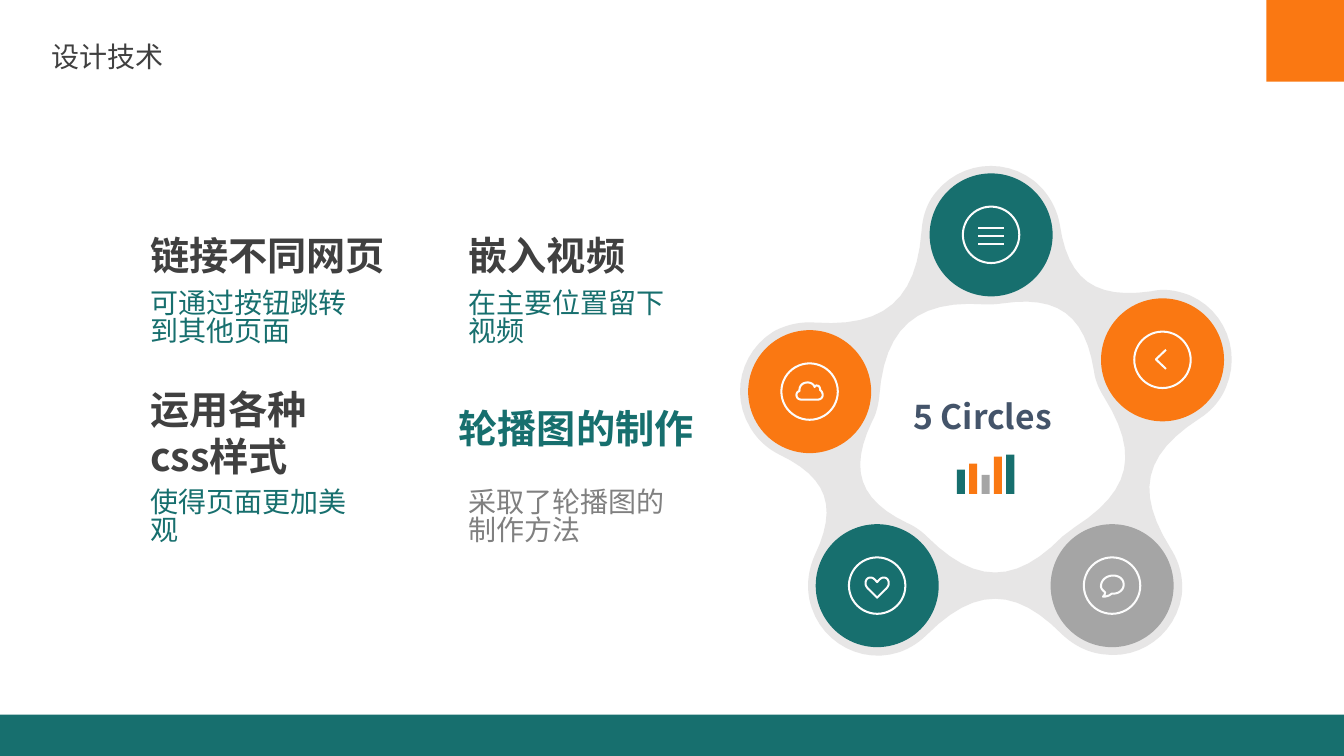
from dataclasses import dataclass
from typing import Optional

from lxml import etree
from pptx import Presentation
from pptx.dml.color import RGBColor
from pptx.enum.shapes import MSO_CONNECTOR, MSO_SHAPE
from pptx.enum.text import MSO_ANCHOR, MSO_AUTO_SIZE, PP_ALIGN
from pptx.oxml.ns import qn
from pptx.util import Emu, Inches, Pt

RECTANGLE, OVAL = MSO_SHAPE.RECTANGLE, MSO_SHAPE.OVAL
STRAIGHT = MSO_CONNECTOR.STRAIGHT
MIDDLE, JUSTIFY = MSO_ANCHOR.MIDDLE, PP_ALIGN.JUSTIFY
NO_AUTOFIT, GROW = MSO_AUTO_SIZE.NONE, MSO_AUTO_SIZE.SHAPE_TO_FIT_TEXT

SLIDE_WIDTH, SLIDE_HEIGHT = Inches(13.33), Inches(7.5)
GRID_COLUMNS, GRID_ROWS = 1333, 750
TITLE_ONLY_LAYOUT = 5


@dataclass(frozen=True)
class Theme:
    teal: str = "176F6E"
    orange: str = "FA7812"
    grey: str = "A5A5A5"
    pale: str = "E7E6E6"
    icon: str = "FCFCFC"
    dark: str = "404040"
    muted: str = "808080"
    navy: str = "44546A"
    title_font: str = "Noto Sans CJK JP"
    font: str = "Noto Sans CJK SC"
    body_size: int = 20
    label_size: int = 24
    heading_size: int = 28
    icon_line: float = 1.44


THEME = Theme()


@dataclass(frozen=True)
class TextStyle:
    size: int
    color: str
    font: str = THEME.font
    bold: bool = False
    line_spacing: Optional[int] = None


@dataclass(frozen=True)
class TextBlock:
    text: str
    left: float
    top: float
    width: float
    height: float
    style: TextStyle
    wrap: bool = True


@dataclass(frozen=True)
class Disc:
    x: float
    y: float
    color: str
    outline: tuple = ()
    closed: bool = True
    bars: tuple = ()


TITLE = TextStyle(THEME.body_size, THEME.dark, THEME.title_font)
LABEL = TextStyle(THEME.label_size, THEME.navy, bold=True)
HEADING = TextStyle(THEME.heading_size, THEME.dark, bold=True)
HEADING_TEAL = TextStyle(THEME.heading_size, THEME.teal, bold=True)
BODY = TextStyle(THEME.body_size, THEME.teal, line_spacing=20)
BODY_MUTED = TextStyle(THEME.body_size, THEME.muted, line_spacing=20)

FIRST, SECOND = 139, 455
UPPER_HEADING, UPPER_BODY, LOWER_BODY = 225, 284, 481
TEXT_BLOCKS = (
    TextBlock("5 Circles", 896, 388, 159, 50, LABEL, wrap=False),
    TextBlock("链接不同网页", FIRST, UPPER_HEADING, 259, 57, HEADING),
    TextBlock("可通过按钮跳转到其他页面", FIRST, UPPER_BODY, 235, 66, BODY),
    TextBlock("运用各种css样式", FIRST, 377, 212, 104, HEADING),
    TextBlock("使得页面更加美观", FIRST, LOWER_BODY, 235, 66, BODY),
    TextBlock("嵌入视频", SECOND, UPPER_HEADING, 212, 57, HEADING),
    TextBlock("在主要位置留下视频", SECOND, UPPER_BODY, 235, 66, BODY),
    TextBlock("轮播图的制作", 445, 396, 265, 57, HEADING_TEAL),
    TextBlock("采取了轮播图的制作方法", SECOND, LOWER_BODY, 235, 66, BODY_MUTED),
)

RING_OUTER = (
    1180, 293, 1167, 288, 1154, 286, 1142, 289, 1086, 297, 1059, 278, 1051, 222,
    1048, 206, 1039, 190, 1025, 179, 995, 156, 952, 161, 928, 191,
    919, 202, 915, 215, 914, 229, 909, 297, 877, 325, 808, 320,
    794, 319, 780, 322, 767, 329, 735, 349, 724, 391, 744, 424,
    751, 436, 761, 445, 773, 451, 821, 474, 831, 503, 808, 551,
    801, 567, 799, 585, 805, 603, 817, 639, 856, 659, 892, 647,
    903, 643, 912, 637, 919, 630, 967, 582, 1007, 582, 1054, 630,
    1065, 640, 1078, 647, 1093, 649, 1131, 655, 1166, 629, 1172, 591,
    1174, 574, 1170, 558, 1161, 544, 1126, 488, 1134, 451, 1190, 415,
    1201, 408, 1211, 397, 1216, 384, 1231, 349, 1215, 308, 1180, 293)
RING_INNER = (
    1066, 523, 1062, 526, 1058, 529, 1054, 532, 1007, 580, 967, 580, 919, 532,
    914, 527, 907, 522, 900, 519, 852, 496, 842, 466, 865, 418,
    869, 411, 871, 402, 872, 394, 877, 325, 909, 297, 977, 302,
    983, 302, 988, 302, 994, 301, 1049, 293, 1076, 312, 1085, 368,
    1086, 377, 1090, 386, 1095, 394, 1130, 450, 1122, 487, 1066, 523)
CLOUD = (
    -8, 8, -11, 8, -13, 6, -13, 3.5, -13, 1.5, -12, 0, -10, -0.5,
    -10.5, -5.5, -7, -9, -2, -9, 1, -9, 4, -7.5, 5, -4.5,
    5.5, -5.5, 6, -6, 7, -6, 9.5, -6, 10.5, -4, 10.5, -1.5,
    12, -0.5, 13, 1.5, 13, 3.5, 13, 6, 11, 8, 8, 8)
HEART = (
    0, 12, 0, 12, -8.5, 3.5, -8.5, 3.5, -8.5, 3.5, -11.5, 1, -11.5, -2,
    -11.5, -6.5, -9, -8, -6.5, -8, -3.5, -8, -1.5, -5, 0, -3.5,
    1.5, -5, 3.5, -8, 6.5, -8, 9, -8, 11.5, -6.5, 11.5, -2,
    11.5, 1, 8.5, 3.5, 8.5, 3.5, 8.5, 3.5, 0, 12, 0, 12)
BUBBLE = (
    1, -10, -6, -10, -11, -5, -11, 0.5, -11, 3, -9, 5, -7, 6.5,
    -7, 9, -8, 10, -9, 11, -5, 11, -2, 9.5, -0.5, 8,
    0, 8, 0.5, 8, 1, 8, 7, 8, 11.5, 4, 11.5, -1,
    11.5, -6.5, 7, -10, 1, -10)
CHEVRON = (3.5, -10, 3.5, -10, -6.5, -0.5, -6.5, -0.5, -6.5, -0.5, 3.5, 9, 3.5, 9)

DISC_SIZE, RING_SIZE = 122, 56
DISCS = (
    Disc(803, 388.5, THEME.orange, CLOUD),
    Disc(870, 581, THEME.teal, HEART),
    Disc(983, 233, THEME.teal, bars=(-7, 1, 9)),
    Disc(1153, 357, THEME.orange, CHEVRON, closed=False),
    Disc(1103, 581, THEME.grey, BUBBLE),
)
BAR_LEFT, BAR_STEP, BAR_WIDTH, BAR_BASE = 949, 12.25, 8, 490
CHART_BARS = ((24, THEME.teal), (30, THEME.orange), (19, THEME.grey),
              (37, THEME.orange), (39, THEME.teal))


def column(count: float) -> Emu:
    return Emu(round(SLIDE_WIDTH * count / GRID_COLUMNS))


def row(count: float) -> Emu:
    return Emu(round(SLIDE_HEIGHT * count / GRID_ROWS))


def paint(shape, fill: Optional[str], line: Optional[str] = None) -> None:
    shape.shadow.inherit = False
    if fill:
        shape.fill.solid()
        shape.fill.fore_color.rgb = RGBColor.from_string(fill)
    else:
        shape.fill.background()
    if line:
        shape.line.color.rgb = RGBColor.from_string(line)
        shape.line.width = Pt(THEME.icon_line)
    else:
        shape.line.fill.background()


def draw_shape(slide, kind, left: float, top: float, width: float, height: float,
               fill: Optional[str], line: Optional[str] = None) -> None:
    shape = slide.shapes.add_shape(kind, column(left), row(top), column(width), row(height))
    paint(shape, fill, line)


def trace_curve(values: tuple, x: float = 0, y: float = 0, steps: int = 12) -> list:
    points = list(zip(values[::2], values[1::2]))
    traced = [points[0]]
    for index in range(0, len(points) - 1, 3):
        for step in range(1, steps + 1):
            t = step / steps
            weights = ((1 - t) ** 3, 3 * t * (1 - t) ** 2, 3 * t * t * (1 - t), t ** 3)
            corners = points[index:index + 4]
            traced.append(tuple(sum(weight * corner[axis] for weight, corner in zip(weights, corners))
                                for axis in (0, 1)))
    return [(column(x + px), row(y + py)) for px, py in traced]


def draw_outline(slide, contours: list, fill: Optional[str], line: Optional[str] = None,
                 closed: bool = True) -> None:
    builder = slide.shapes.build_freeform(*contours[0][0])
    for number, contour in enumerate(contours):
        if number:
            builder.move_to(*contour[0])
        builder.add_line_segments(contour[1:], close=closed)
    paint(builder.convert_to_shape(), fill, line)


def draw_disc(slide, disc: Disc) -> None:
    for size, fill, line in ((DISC_SIZE, disc.color, None), (RING_SIZE, None, THEME.icon)):
        draw_shape(slide, OVAL, disc.x - size / 2, disc.y - size / 2, size, size, fill, line)
    if disc.outline:
        draw_outline(slide, [trace_curve(disc.outline, disc.x, disc.y)], None, THEME.icon, disc.closed)
    for offset in disc.bars:
        level = row(disc.y + offset)
        bar = slide.shapes.add_connector(STRAIGHT, column(disc.x - 13), level, column(disc.x + 13), level)
        bar.line.color.rgb = RGBColor.from_string(THEME.icon)
        bar.line.width = Pt(THEME.icon_line)
        etree.SubElement(bar._element.spPr, qn("a:effectLst"))


def write_text(shape, text: str, style: TextStyle) -> None:
    shape.text_frame.text = text
    paragraph = shape.text_frame.paragraphs[0]
    if style.line_spacing:
        paragraph.line_spacing = Pt(style.line_spacing)
    run = paragraph.runs[0]
    run.font.size, run.font.bold, run.font.name = Pt(style.size), style.bold, style.font
    run.font.color.rgb = RGBColor.from_string(style.color)
    etree.SubElement(run._r.get_or_add_rPr(), qn("a:ea")).set("typeface", style.font)


def draw_text(slide, block: TextBlock) -> None:
    box = slide.shapes.add_textbox(column(block.left), row(block.top), column(block.width), row(block.height))
    box.text_frame.word_wrap = block.wrap
    box.text_frame.auto_size = GROW
    write_text(box, block.text, block.style)


def draw_title(slide, text: str) -> None:
    title = slide.shapes.title
    title.left, title.top, title.width, title.height = column(41), row(34), column(233), row(44)
    write_text(title, text, TITLE)
    title.text_frame.auto_size = NO_AUTOFIT
    title.text_frame.vertical_anchor = MIDDLE
    title.text_frame.paragraphs[0].alignment = JUSTIFY


def main() -> None:
    presentation = Presentation()
    presentation.slide_width, presentation.slide_height = SLIDE_WIDTH, SLIDE_HEIGHT
    slide = presentation.slides.add_slide(presentation.slide_layouts[TITLE_ONLY_LAYOUT])
    draw_shape(slide, RECTANGLE, 0, 709, GRID_COLUMNS, 41, THEME.teal)
    draw_shape(slide, RECTANGLE, 1256, 0, 77, 81, THEME.orange)
    draw_title(slide, "设计技术")
    draw_outline(slide, [trace_curve(RING_OUTER), trace_curve(RING_INNER)], THEME.pale)
    for disc in DISCS:
        draw_disc(slide, disc)
    for index, (height, color) in enumerate(CHART_BARS):
        draw_shape(slide, RECTANGLE, BAR_LEFT + index * BAR_STEP, BAR_BASE - height, BAR_WIDTH, height, color)
    for block in TEXT_BLOCKS:
        draw_text(slide, block)
    presentation.save("out.pptx")


if __name__ == "__main__":
    main()
